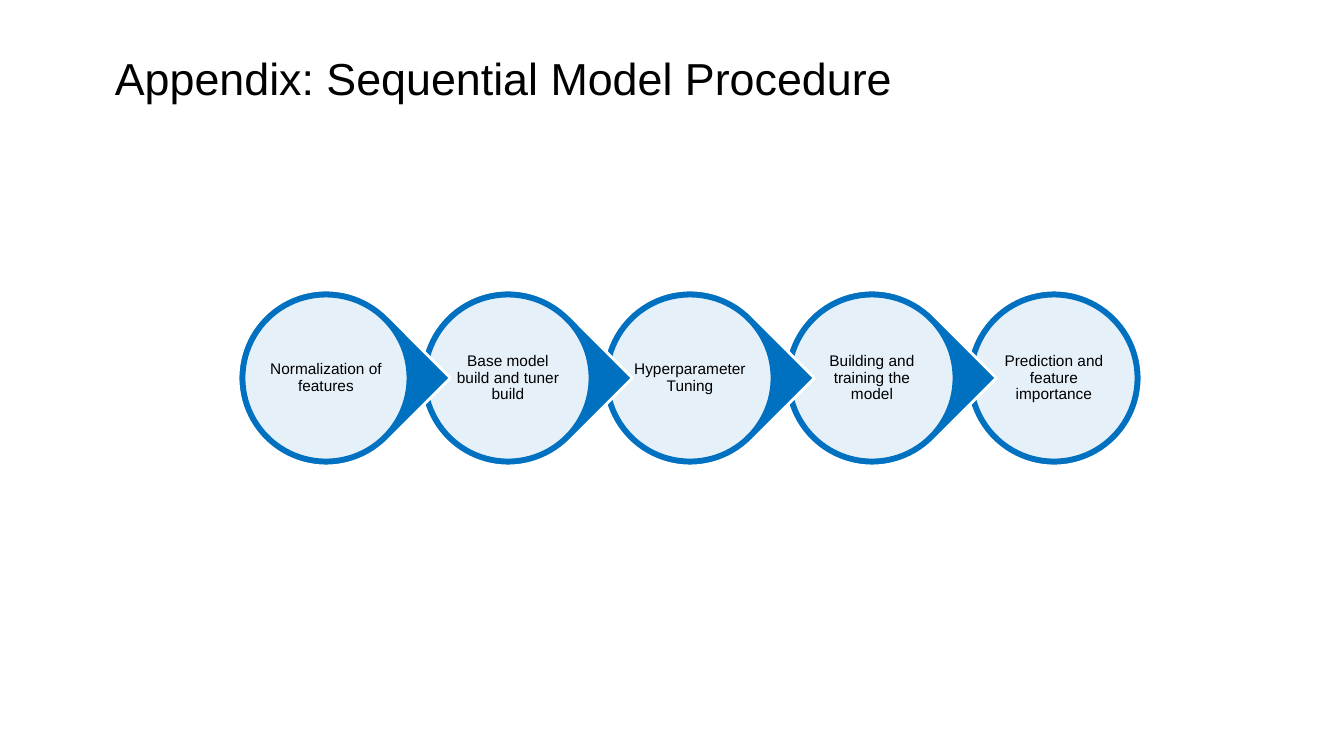
from dataclasses import dataclass

from lxml.etree import SubElement
from pptx import Presentation
from pptx.dml.color import RGBColor
from pptx.enum.shapes import MSO_SHAPE
from pptx.enum.text import MSO_ANCHOR, PP_ALIGN
from pptx.oxml.ns import qn
from pptx.shapes.autoshape import Shape
from pptx.shapes.shapetree import GroupShapes
from pptx.util import Emu, Pt

EMU_PER_PX = 914400 / 100.8


@dataclass(frozen=True)
class Theme:
    font: str = "Arial"
    text: RGBColor = RGBColor(0x00, 0x00, 0x00)
    blue: RGBColor = RGBColor(0x00, 0x70, 0xC0)
    white: RGBColor = RGBColor(0xFF, 0xFF, 0xFF)
    title_size: Pt = Pt(32)
    step_size: Pt = Pt(11)
    line_width: Pt = Pt(2)
    disc_alpha: int = 90


@dataclass(frozen=True)
class Box:
    left: int
    top: int
    width: int
    height: int

    def inset(self, d: int) -> "Box":
        return Box(self.left + d, self.top + d, self.width - 2 * d, self.height - 2 * d)

    def emu(self) -> tuple[Emu, ...]:
        return tuple(px(v) for v in (self.left, self.top, self.width, self.height))


@dataclass(frozen=True)
class Step:
    text: str
    box: Box
    outline: MSO_SHAPE
    rotation: int


THEME = Theme()
TITLE = Box(105, 39, 1135, 71)
FIRST_STEP = Box(238, 290, 176, 176)
STEP_PITCH = 182
DISC_INSET, TEXT_INSET = 6, 29
LABELS = (
    "Normalization of features",
    "Base model build and tuner build",
    "Hyperparameter Tuning",
    "Building and training the model",
    "Prediction and feature importance",
)


def px(n: int) -> Emu:
    return Emu(round(n * EMU_PER_PX))


def set_attrs(obj: object, values: dict[str, object]) -> None:
    for name, value in values.items():
        setattr(obj, name, value)


def add_shape(shapes: GroupShapes, kind: MSO_SHAPE, box: Box,
              fill: RGBColor, line: RGBColor) -> Shape:
    sp = shapes.add_shape(kind, *box.emu())
    sp.shadow.inherit = False
    sp.fill.solid()
    sp.fill.fore_color.rgb = fill
    sp.line.color.rgb = line
    sp.line.width = THEME.line_width
    return sp


def add_text(shapes: GroupShapes, box: Box, text: str, size: Pt, align: PP_ALIGN,
             frame: dict[str, object]) -> None:
    tf = shapes.add_textbox(*box.emu()).text_frame
    set_attrs(tf, {"word_wrap": True, **frame})
    p = tf.paragraphs[0]
    set_attrs(p, {"alignment": align, "line_spacing": 0.9})
    r = p.add_run()
    r.text = text
    set_attrs(r.font, {"name": THEME.font, "size": size})
    r.font.color.rgb = THEME.text


def set_alpha(sp: Shape, percent: int) -> None:
    color = sp.fill._xPr.find(qn("a:solidFill"))[0]
    SubElement(color, qn("a:alpha"), val=str(percent * 1000))


def add_step(shapes: GroupShapes, step: Step) -> None:
    sp = add_shape(shapes, step.outline, step.box, THEME.blue, THEME.white)
    sp.rotation = step.rotation
    disc = add_shape(shapes, MSO_SHAPE.OVAL, step.box.inset(DISC_INSET),
                     THEME.white, THEME.blue)
    set_alpha(disc, THEME.disc_alpha)
    margins = {f"margin_{side}": px(2) for side in ("left", "top", "right", "bottom")}
    add_text(shapes, step.box.inset(TEXT_INSET), step.text, THEME.step_size,
             PP_ALIGN.CENTER, {"vertical_anchor": MSO_ANCHOR.MIDDLE, **margins})


def make_steps() -> list[Step]:
    last = len(LABELS) - 1
    return [
        Step(
            label,
            Box(FIRST_STEP.left + i * STEP_PITCH, FIRST_STEP.top,
                FIRST_STEP.width, FIRST_STEP.height),
            MSO_SHAPE.OVAL if i == last else MSO_SHAPE.TEAR,
            0 if i == last else 45,
        )
        for i, label in enumerate(LABELS)
    ]


def main() -> None:
    prs = Presentation()
    set_attrs(prs, {"slide_width": px(1344), "slide_height": px(756)})
    s = prs.slides.add_slide(prs.slide_layouts[6])

    # Title
    add_text(s.shapes, TITLE, "Appendix: Sequential Model Procedure", THEME.title_size,
             PP_ALIGN.LEFT, {"vertical_anchor": MSO_ANCHOR.BOTTOM})

    # Process chain, last step first so that each point overlaps the next circle
    chain = s.shapes.add_group_shape()
    for step in reversed(make_steps()):
        add_step(chain.shapes, step)

    prs.save("out.pptx")


if __name__ == "__main__":
    main()
